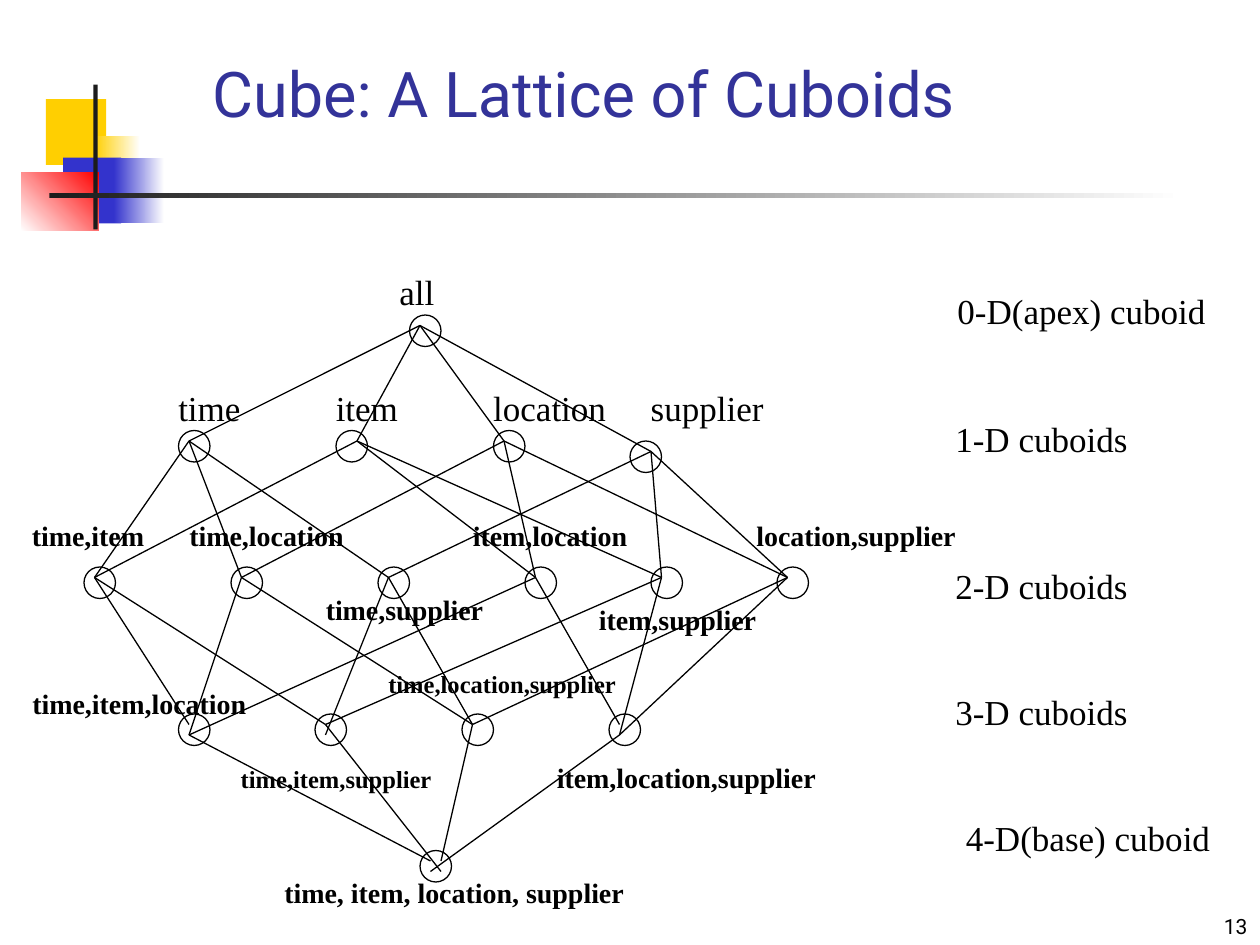
import itertools

import lxml.etree
import pptx
import pptx.dml.color
import pptx.enum.shapes
import pptx.enum.text
import pptx.oxml.ns
import pptx.util

RGBColor = pptx.dml.color.RGBColor
BLACK = RGBColor(0x00, 0x00, 0x00)
WHITE = RGBColor(0xFF, 0xFF, 0xFF)
INK = RGBColor(0x1C, 0x1C, 0x1C)
YELLOW = RGBColor(0xFF, 0xCF, 0x01)
BLUE = RGBColor(0x33, 0x33, 0xCC)
RED = RGBColor(0xFF, 0x00, 0x00)
TITLE_BLUE = RGBColor(0x33, 0x33, 0x99)

SANS, SERIF = "Roboto", "Times New Roman"
ALIGN = pptx.enum.text.PP_ALIGN
ANCHOR = pptx.enum.text.MSO_ANCHOR
SHAPE = pptx.enum.shapes.MSO_SHAPE

# All lengths are cells of a 120 by 90 grid, twelve cells to the inch.
COLUMNS, ROWS, CELLS_PER_INCH = 120, 90, 12
NODE_SIZE = 3
LABEL_HEIGHT = {20: 5.25, 16: 4.4, 14: 4.05}

# left, top, width, height, colours (two make a gradient), angle
DECORATIONS = [
    (4.37, 9.45, 5.75, 6.25, [YELLOW], 0),
    (9, 12.95, 4.35, 6.25, [YELLOW, WHITE], 0),
    (6, 15.02, 5.55, 6.25, [BLUE], 0),
    (10.85, 15.02, 4.8, 6.25, [BLUE, WHITE], 0),
    (2.02, 16.4, 7.4, 5.58, [WHITE, RED], 45),
    (8.9, 8.05, 0.4, 13.8, [INK], 0),
    (4.7, 18.4, 108, 0.42, [INK, WHITE], 0),
]

T, I, L, S = "time", "item", "location", "supplier"
BASE = (T, I, L, S)
# dimensions: node (left, top), label (left, top, width, size)
CUBOIDS = {
    (): ((39, 30), (36.7, 25.2, 6, 20)),
    (T,): ((17, 41), (15.8, 36.2, 8.5, 20)),
    (I,): ((32, 41), (30.8, 36.2, 8.5, 20)),
    (L,): ((47, 41), (45.8, 36.2, 13.4, 20)),
    (S,): ((60, 42), (60.8, 36.2, 13.4, 20)),
    (T, I): ((8, 54), (1.85, 48.8, 13.4, 16)),
    (T, L): ((22, 54), (16.85, 48.8, 17.4, 16)),
    (T, S): ((36, 54), (29.85, 55.8, 17.7, 16)),
    (I, L): ((50, 54), (43.85, 48.8, 17.4, 16)),
    (I, S): ((62, 54), (55.85, 56.8, 17.7, 16)),
    (L, S): ((74, 54), (70.85, 48.8, 21.7, 16)),
    (T, I, L): ((17, 68), (1.9, 64.8, 23.1, 16)),
    (T, I, S): ((30, 68), (21.75, 72.15, 20.9, 14)),
    (T, L, S): ((44, 68), (35.8, 63.1, 24.5, 14)),
    (I, L, S): ((58, 68), (51.85, 71.8, 27.4, 16)),
    BASE: ((40, 81), (25.9, 82.8, 35.1, 16)),
}

# Where an edge meets a node, counted from the node's top left corner.
USUAL_JOIN = (1, 1)
NODE_JOINS = {(I,): (2, 1), (S,): (2, 1)}
LOW = (1, 2)
EDGE_STARTS = {((T, I, L), BASE): LOW, ((I, L, S), BASE): LOW}
EDGE_ENDS = {
    ((T, L), (T, I, L)): LOW,
    ((I, L), (T, I, L)): LOW,
    ((T, S), (T, I, S)): LOW,
    ((I, S), (I, L, S)): LOW,
    ((L, S), (I, L, S)): LOW,
    ((T, I, S), BASE): (2, 2),
    ((T, L, S), BASE): (2, 1),
    ((I, L, S), BASE): LOW,
}

LEVELS = [
    ("0-D(apex) cuboid", 90, 27, 26.4),
    ("1-D cuboids", 89.8, 39.2, 19.1),
    ("2-D cuboids", 89.8, 53.2, 19.1),
    ("3-D cuboids", 89.8, 65.2, 19.1),
    ("4-D(base) cuboid", 90.8, 77.2, 26),
]


def cells(*counts):
    return [pptx.util.Inches(count / CELLS_PER_INCH) for count in counts]


def format_paragraph(paragraph, name, size, color, bold=False, align=ALIGN.LEFT):
    paragraph.alignment = align
    font = paragraph.font
    font.name, font.size, font.bold = name, pptx.util.Pt(size), bold
    font.color.rgb = color


def add_decoration(slide, left, top, width, height, colors, angle):
    shape = slide.shapes.add_shape(SHAPE.RECTANGLE, *cells(left, top, width, height))
    shape.shadow.inherit = False
    shape.line.fill.background()
    if len(colors) == 1:
        shape.fill.solid()
        shape.fill.fore_color.rgb = colors[0]
        return
    shape.fill.gradient()
    shape.fill.gradient_angle = angle
    for stop, color in zip(shape.fill.gradient_stops, colors):
        stop.color.rgb = color


def add_title(slide, text):
    title = slide.shapes.title
    title.left, title.top, title.width, title.height = cells(19, 5, 76, 8)
    frame = title.text_frame
    frame.text = text
    frame.auto_size = pptx.enum.text.MSO_AUTO_SIZE.NONE
    frame.vertical_anchor = ANCHOR.BOTTOM
    format_paragraph(frame.paragraphs[0], SANS, 36, TITLE_BLUE)


def add_slide_number(slide, number):
    box = slide.shapes.add_textbox(*cells(95, 84, 25, 6))
    frame = box.text_frame
    frame.word_wrap = True
    frame.vertical_anchor = ANCHOR.BOTTOM
    frame.text = number
    format_paragraph(frame.paragraphs[0], SANS, 12, BLACK, align=ALIGN.RIGHT)


def add_label(slide, text, left, top, width, size, bold=False, align=ALIGN.LEFT):
    box = slide.shapes.add_textbox(*cells(left, top, width, LABEL_HEIGHT[size]))
    frame = box.text_frame
    frame.word_wrap = False
    frame.text = text
    format_paragraph(frame.paragraphs[0], SERIF, size, BLACK, bold, align)


def add_node(slide, left, top):
    node = slide.shapes.add_shape(
        SHAPE.FLOWCHART_CONNECTOR, *cells(left, top, NODE_SIZE, NODE_SIZE))
    node.shadow.inherit = False
    node.fill.solid()
    node.fill.fore_color.rgb = WHITE
    node.line.color.rgb = BLACK
    node.line.width = pptx.util.Pt(0.75)


def join_point(dimensions, special_join):
    join = special_join or NODE_JOINS.get(dimensions, USUAL_JOIN)
    return [corner + shift for corner, shift in zip(CUBOIDS[dimensions][0], join)]


def add_edge(slide, parent, child):
    start = join_point(parent, EDGE_STARTS.get((parent, child)))
    end = join_point(child, EDGE_ENDS.get((parent, child)))
    edge = slide.shapes.add_connector(
        pptx.enum.shapes.MSO_CONNECTOR.STRAIGHT, *cells(*start, *end))
    edge.line.color.rgb = BLACK
    edge.line.width = pptx.util.Pt(0.75)
    lxml.etree.SubElement(edge._element.spPr, pptx.oxml.ns.qn("a:effectLst"))


def add_lattice(slide):
    """Join each cuboid to those that have exactly one dimension more."""
    for position, _ in CUBOIDS.values():
        add_node(slide, *position)
    for parent, child in itertools.combinations(CUBOIDS, 2):
        if len(child) == len(parent) + 1 and set(parent) < set(child):
            add_edge(slide, parent, child)
    for dimensions, (_, label) in CUBOIDS.items():
        separator = ", " if dimensions == BASE else ","
        add_label(slide, separator.join(dimensions) or "all", *label,
                  bold=len(dimensions) > 1,
                  align=ALIGN.LEFT if dimensions else ALIGN.CENTER)


def main():
    presentation = pptx.Presentation()
    presentation.slide_width, presentation.slide_height = cells(COLUMNS, ROWS)
    slide = presentation.slides.add_slide(presentation.slide_layouts[5])
    for decoration in DECORATIONS:
        add_decoration(slide, *decoration)
    add_title(slide, "Cube: A Lattice of Cuboids")
    add_slide_number(slide, "13")
    add_lattice(slide)
    for text, left, top, width in LEVELS:
        add_label(slide, text, left, top, width, 20)
    presentation.save("out.pptx")


if __name__ == "__main__":
    main()
